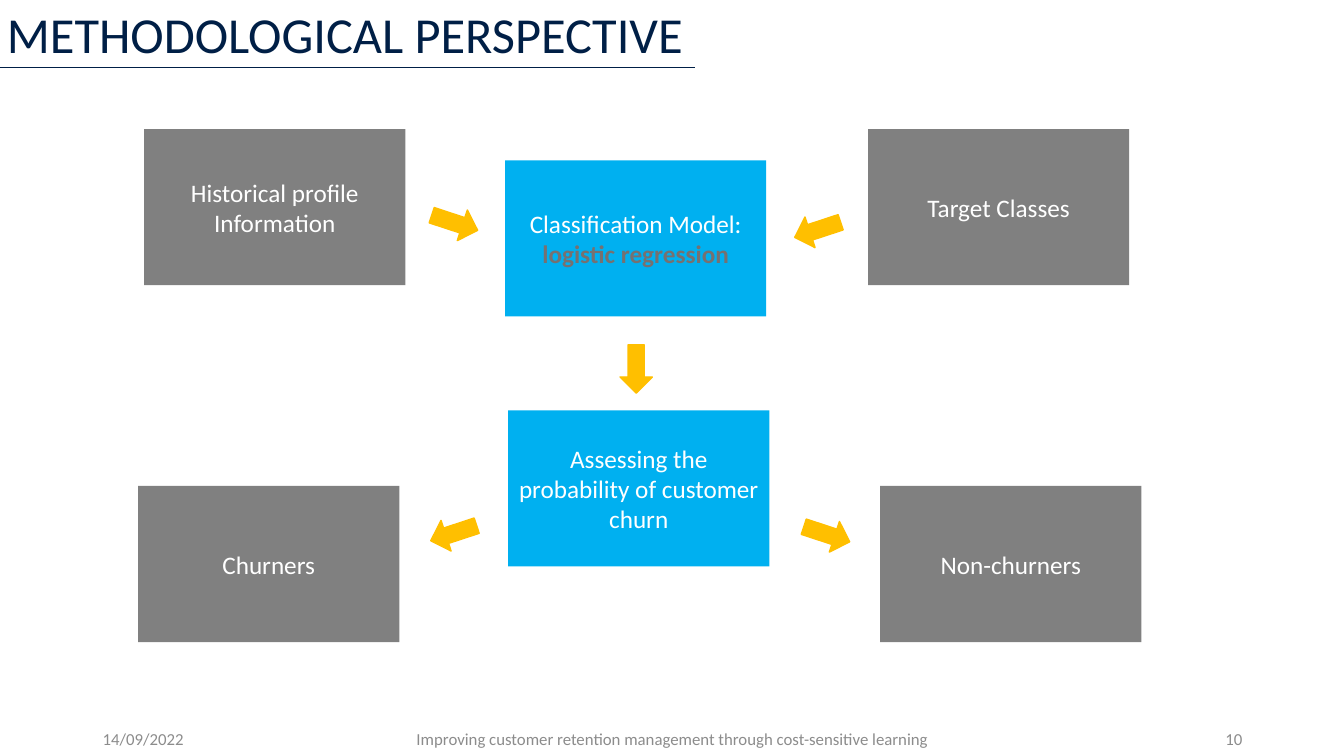
from lxml import etree
from pptx import Presentation
from pptx.dml.color import RGBColor
from pptx.enum.shapes import MSO_CONNECTOR, MSO_SHAPE
from pptx.enum.text import MSO_ANCHOR as ANCHOR, PP_ALIGN as ALIGN
from pptx.oxml.ns import qn
from pptx.util import Inches, Pt

NAVY, GRAY, BLUE, GOLD = "001F46", "808080", "00B0F0", "FFBF00"
WHITE, EMPHASIS, FOOTER = "FFFFFF", "767171", "8C8C8C"
BOX_WIDTH, BOX_HEIGHT = 2.59, 1.55
ARROW_WIDTH, ARROW_HEIGHT = 0.48, 0.32
SLOPE = 18.2


def color(hex_string):
    """Turn a hex string into a colour."""
    return RGBColor.from_string(hex_string)


def write(shape, text, size=18, colors=(WHITE,), align=ALIGN.CENTER,
          anchor=ANCHOR.MIDDLE):
    """Write text lines, one colour per line; lines after the first are bold."""
    frame = shape.text_frame
    frame.word_wrap = True
    frame.vertical_anchor = anchor
    frame.text = text
    for index, (paragraph, hex_string) in enumerate(zip(frame.paragraphs, colors)):
        paragraph.alignment = align
        font = paragraph.runs[0].font
        font.name, font.size, font.bold = "Calibri", Pt(size), index > 0
        font.color.rgb = color(hex_string)


presentation = Presentation()
presentation.slide_width, presentation.slide_height = Inches(13.33), Inches(7.5)
slide = presentation.slides.add_slide(presentation.slide_layouts[6])
shapes = slide.shapes

# Title and its rule
title = shapes.add_textbox(Inches(-0.03), Inches(-0.02), Inches(7.17), Inches(0.89))
write(title, "METHODOLOGICAL PERSPECTIVE", size=36, colors=(NAVY,),
      align=ALIGN.LEFT, anchor=ANCHOR.TOP)
rule = shapes.add_connector(MSO_CONNECTOR.STRAIGHT, 0, Inches(0.67),
                            Inches(6.89), Inches(0.67))
rule.line.color.rgb = color(NAVY)
rule.line.width = Pt(0.5)
etree.SubElement(rule._element.spPr, qn("a:effectLst"))

# Process boxes
for left, top, fill, text in (
    (1.43, 1.28, GRAY, "Historical profile Information"),
    (8.61, 1.28, GRAY, "Target Classes"),
    (5.01, 1.59, BLUE, "Classification Model:\nlogistic regression"),
    (5.04, 4.07, BLUE, "Assessing the probability of customer churn"),
    (1.37, 4.82, GRAY, "Churners"),
    (8.73, 4.82, GRAY, "Non-churners"),
):
    box = shapes.add_shape(MSO_SHAPE.RECTANGLE, Inches(left), Inches(top),
                           Inches(BOX_WIDTH), Inches(BOX_HEIGHT))
    box.shadow.inherit = False
    box.fill.solid()
    box.fill.fore_color.rgb = color(fill)
    box.line.fill.background()
    write(box, text, colors=(WHITE, EMPHASIS))

# Flow arrows, turned clockwise from pointing right
for left, top, rotation in (
    (4.27, 2.05, SLOPE),
    (7.87, 2.12, 180 - SLOPE),
    (6.07, 3.5, 90),
    (4.26, 5.13, 180 - SLOPE),
    (7.96, 5.14, SLOPE),
):
    arrow = shapes.add_shape(MSO_SHAPE.RIGHT_ARROW, Inches(left), Inches(top),
                             Inches(ARROW_WIDTH), Inches(ARROW_HEIGHT))
    arrow.rotation = rotation
    arrow.shadow.inherit = False
    arrow.fill.solid()
    arrow.fill.fore_color.rgb = arrow.line.color.rgb = color(GOLD)
    arrow.line.width = Pt(1)

# Footer: date, talk title, page number
footer_left = 0.92
for width, align, text in (
    (3, ALIGN.LEFT, "14/09/2022"),
    (5.5, ALIGN.CENTER,
     "Improving customer retention management through cost-sensitive learning"),
    (3, ALIGN.RIGHT, "10"),
):
    footer = shapes.add_textbox(Inches(footer_left), Inches(7.13),
                                Inches(width), Inches(0.4))
    write(footer, text, size=12, colors=(FOOTER,), align=align)
    footer_left += width

presentation.save("out.pptx")
